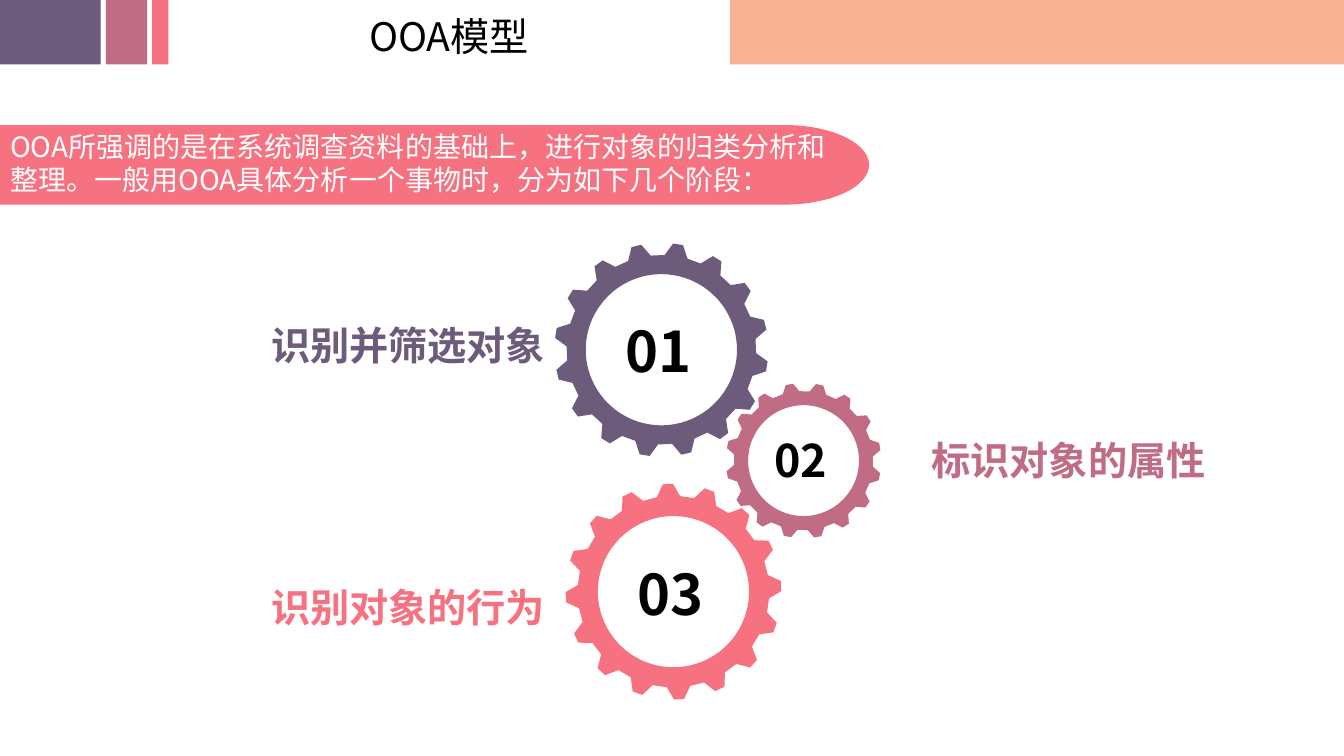
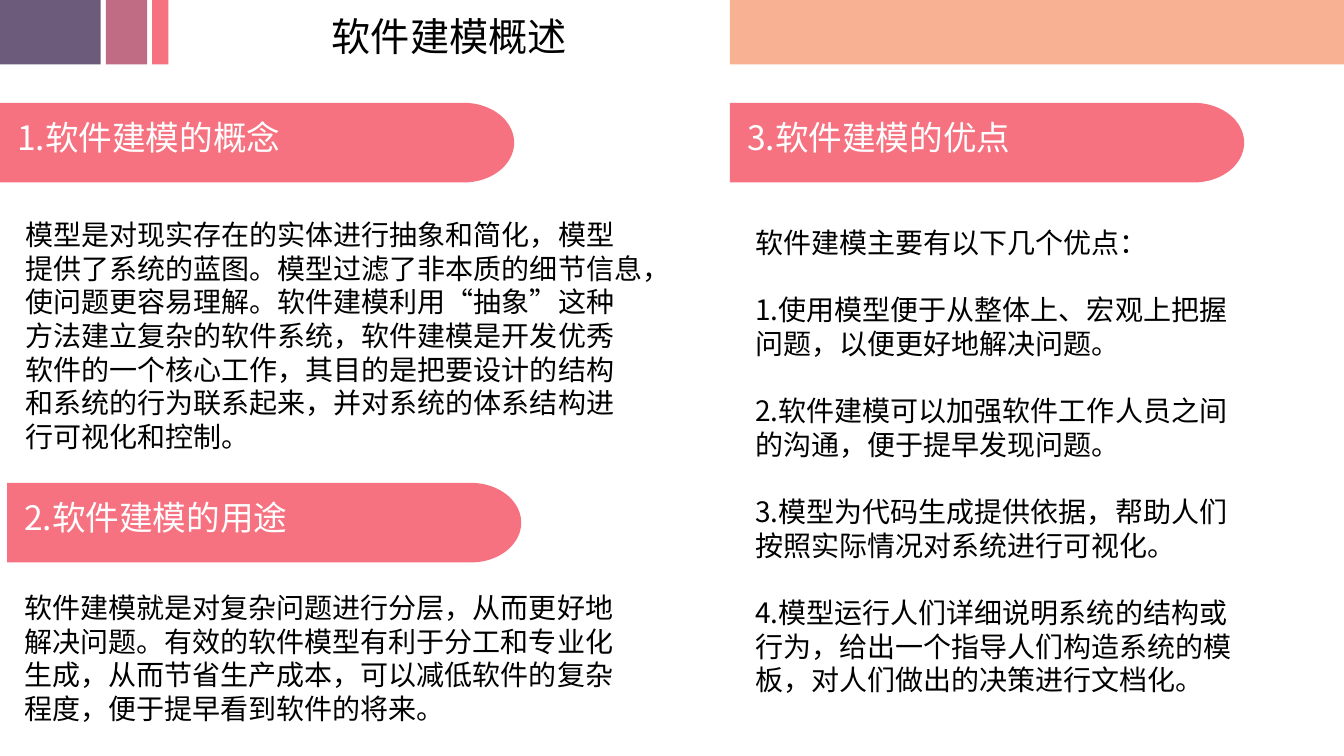
from math import cos, pi, radians, sin

from lxml import etree
from pptx import Presentation
from pptx.dml.color import RGBColor
from pptx.enum.shapes import MSO_SHAPE
from pptx.enum.text import MSO_ANCHOR, MSO_AUTO_SIZE, PP_ALIGN
from pptx.oxml.ns import qn
from pptx.util import Inches, Pt

RECTANGLE = MSO_SHAPE.RECTANGLE
TOP = MSO_ANCHOR.TOP
NO_AUTOFIT = MSO_AUTO_SIZE.NONE
LEFT, CENTER = PP_ALIGN.LEFT, PP_ALIGN.CENTER

FONT = "Noto Sans CJK SC"
PURPLE, MAUVE, PINK, PEACH = "6C5B7B", "C06C84", "F67280", "F8B193"
BLACK, WHITE = "000000", "FFFFFF"
LINE_HEIGHT = 1.2
TITLE_ONLY = 5
STRIPE_HEIGHT = 0.64
STRIPES = [(7.24, 6.09, PEACH), (0, 1, PURPLE), (1.05, 0.41, MAUVE), (1.51, 0.16, PINK)]
BAND_HEIGHT = 0.79
TEETH = 16
TIP_ANGLE, ROOT_ANGLE = 2.7, 7

GEARS = [
    (7.97, 4.57, 0.77, 0.69, 0.55, 12, MAUVE),
    (6.68, 5.87, 1.07, 0.95, 0.75, 19.5, PINK),
    (6.56, 3.47, 1.06, 0.94, 0.75, 9, PURPLE),
]
NUMBERS = [("01", 6.11, 3.09, 40), ("02", 7.58, 4.25, 32), ("03", 6.22, 5.5, 40)]
LABELS = [
    ("识别并筛选对象", 2.59, 3.13, PURPLE),
    ("识别对象的行为", 2.59, 5.73, PINK),
    ("标识对象的属性", 9.14, 4.27, MAUVE),
]
INTRO = "OOA所强调的是在系统调查资料的基础上，进行对象的归类分析和整理。一般用OOA具体分析一个事物时，分为如下几个阶段："

HEADINGS = [
    ("1.软件建模的概念", 0, 1.02),
    ("2.软件建模的用途", 0.07, 4.79),
    ("3.软件建模的优点", 7.24, 1.02),
]
CONCEPT = [[
    "模型是对现实存在的实体进行抽象和简化，模型",
    "提供了系统的蓝图。模型过滤了非本质的细节信息，",
    "使问题更容易理解。软件建模利用“抽象”这种",
    "方法建立复杂的软件系统，软件建模是开发优秀",
    "软件的一个核心工作，其目的是把要设计的结构",
    "和系统的行为联系起来，并对系统的体系结构进",
    "行可视化和控制。",
]]
PURPOSE = [[
    "软件建模就是对复杂问题进行分层，从而更好地",
    "解决问题。有效的软件模型有利于分工和专业化",
    "生成，从而节省生产成本，可以减低软件的复杂",
    "程度，便于提早看到软件的将来。",
]]
ADVANTAGES = [
    ["软件建模主要有以下几个优点："],
    ["1.使用模型便于从整体上、宏观上把握", "问题，以便更好地解决问题。"],
    ["2.软件建模可以加强软件工作人员之间", "的沟通，便于提早发现问题。"],
    ["3.模型为代码生成提供依据，帮助人们", "按照实际情况对系统进行可视化。"],
    ["4.模型运行人们详细说明系统的结构或", "行为，给出一个指导人们构造系统的模", "板，对人们做出的决策进行文档化。"],
]


def color(value):
    return RGBColor.from_string(value)


def paint(shape, fill):
    shape.shadow.inherit = False
    shape.fill.solid()
    shape.fill.fore_color.rgb = color(fill)
    shape.line.fill.background()


def write(shape, groups, size, ink, bold=False, align=LEFT, wrap=True, margins=(0.1, 0.05, 0.1)):
    frame = shape.text_frame
    frame.auto_size = NO_AUTOFIT
    frame.word_wrap = wrap
    frame.vertical_anchor = TOP
    frame.margin_left, frame.margin_top, frame.margin_right = map(Inches, margins)
    frame.margin_bottom = 0
    line_pitch = Pt(round(size * LINE_HEIGHT))
    para = frame.paragraphs[0]
    for group_index, lines in enumerate(groups):
        for line_index, line in enumerate(lines):
            if group_index or line_index:
                para = frame.add_paragraph()
            para.alignment = align
            para.line_spacing = line_pitch
            para.space_before = line_pitch if group_index and not line_index else Pt(0)
            span = para.add_run()
            span.text = line
            span.font.size = Pt(size)
            span.font.bold = bold
            span.font.color.rgb = color(ink)
            span.font.name = FONT
            etree.SubElement(span.font._element, qn("a:ea")).set("typeface", FONT)


def add_text(page, groups, left, top, width, height, size, ink=BLACK, bold=False):
    box = page.shapes.add_textbox(Inches(left), Inches(top), Inches(width), Inches(height))
    write(box, groups, size, ink, bold, wrap=False)


def add_outline(page, contours, fill):
    points = [[(Inches(x), Inches(y)) for x, y in contour] for contour in contours]
    builder = page.shapes.build_freeform(*points[0][0], scale=1.0)
    builder.add_line_segments(points[0][1:], close=True)
    for contour in points[1:]:
        builder.move_to(*contour[0])
        builder.add_line_segments(contour[1:], close=True)
    shape = builder.convert_to_shape()
    paint(shape, fill)
    return shape


def add_band(page, text, left, top, width, curve, size, margins):
    middle = top + BAND_HEIGHT / 2
    start = left + width - curve
    steps = 40
    angles = [pi * step / steps - pi / 2 for step in range(steps + 1)]
    outline = [(left, top)]
    outline += [(start + curve * cos(a), middle + BAND_HEIGHT / 2 * sin(a)) for a in angles]
    outline.append((left, top + BAND_HEIGHT))
    band = add_outline(page, [outline], PINK)
    write(band, [[text]], size, WHITE, margins=margins)


def add_gear(page, x, y, tip, root, hole, phase, fill):
    def polar(radius, degrees):
        angle = radians(degrees)
        return x + radius * cos(angle), y + radius * sin(angle)

    profile = [(root, -ROOT_ANGLE), (tip, -TIP_ANGLE), (tip, TIP_ANGLE), (root, ROOT_ANGLE)]
    rim = [
        polar(radius, phase + tooth * 360 / TEETH + offset)
        for tooth in range(TEETH)
        for radius, offset in profile
    ]
    opening = [polar(hole, degrees) for degrees in range(360, 0, -4)]
    add_outline(page, [rim, opening], fill)


def add_page(deck, title):
    page = deck.slides.add_slide(deck.slide_layouts[TITLE_ONLY])
    for left, width, fill in STRIPES:
        stripe = page.shapes.add_shape(
            RECTANGLE, Inches(left), 0, Inches(width), Inches(STRIPE_HEIGHT)
        )
        paint(stripe, fill)
    heading = page.shapes.title
    heading.left, heading.top = Inches(1.97), Inches(0.07)
    heading.width, heading.height = Inches(4.97), Inches(0.57)
    write(heading, [[title]], 28, BLACK, align=CENTER)
    return page


def build_model_page(deck):
    page = add_page(deck, "OOA模型")
    for gear in GEARS:
        add_gear(page, *gear)
    for text, left, top, size in NUMBERS:
        add_text(page, [[text]], left, top, 0.89, 0.77, size, bold=True)
    for text, left, top, ink in LABELS:
        add_text(page, [[text]], left, top, 2.95, 0.57, 28, ink, True)
    add_band(page, INTRO, -0.02, 1.24, 8.64, 0.84, 20, (0.12, 0.04, 0.3))


def build_overview_page(deck):
    page = add_page(deck, "软件建模概述")
    add_text(page, CONCEPT, 0.15, 2.11, 6.65, 2.46, 20)
    add_text(page, PURPOSE, 0.14, 5.81, 6.09, 1.45, 20)
    add_text(page, ADVANTAGES, 7.39, 2.19, 5.11, 4.81, 20)
    for text, left, top in HEADINGS:
        add_band(page, text, left, top, 5.1, 0.5, 24, (0.17, 0.14, 0.1))


def main():
    deck = Presentation()
    deck.slide_width, deck.slide_height = Inches(13.33), Inches(7.5)
    build_model_page(deck)
    build_overview_page(deck)
    deck.save("out.pptx")


if __name__ == "__main__":
    main()
